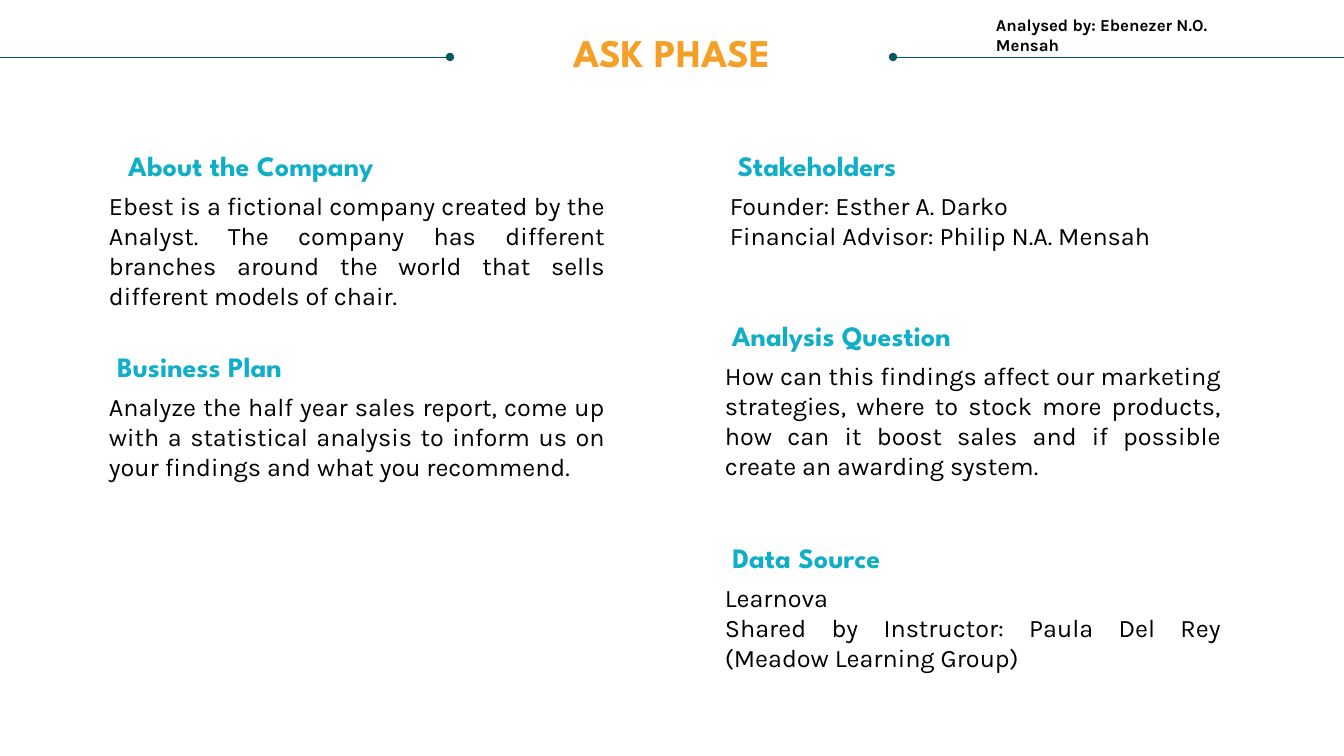
from pptx import Presentation
from pptx import util as u
from pptx.dml.color import RGBColor
from pptx.enum import shapes, text
from pptx.oxml.ns import qn
from lxml import etree

PX = 914400 / 100.8
WIDE, HIGH = 1344, 756
BODY_W = 496
INDENT = 18      # heading box starts this far left of its body
HEAD_H, DROP, LINE_H = 34, 42, 30

BLACK, TEAL, CYAN, GOLD = "000000", "085764", "11AEC7", "F59F26"
DISPLAY, PLAIN = "League Spartan", "Karla"
ALIGN = text.PP_ALIGN

# Body left, heading top, heading width, heading, body, body lines
SECTIONS = [
    (109, 148, 320, "About the Company",
     "Ebest is a fictional company created by the Analyst. The company has "
     "different branches around the world that sells different models of chair.", 4),
    (109, 349, 217, "Business Plan",
     "Analyze the half year sales report, come up with a statistical analysis "
     "to inform us on your findings and what you recommend.", 3),
    (730, 148, 210, "Stakeholders",
     "Founder: Esther A. Darko\nFinancial Advisor: Philip N.A. Mensah", 2),
    (725, 318, 269, "Analysis Question",
     "How can this findings affect our marketing strategies, where to stock "
     "more products, how can it boost sales and if possible create an "
     "awarding system.", 4),
    (725, 540, 199, "Data Source",
     "Learnova\nShared by Instructor: Paula Del Rey (Meadow Learning Group)", 3),
]


def px(*sizes):
    return [u.Emu(round(s * PX)) for s in sizes]


def color(code):
    return RGBColor.from_string(code)


def fill(shape, words, font, size, code, bold=False, align=ALIGN.LEFT, inset=(0, 0)):
    """Put styled text in a box; inset is side and top margin in px."""
    frame = shape.text_frame
    frame.word_wrap = True
    frame.auto_size = text.MSO_AUTO_SIZE.NONE
    frame.vertical_anchor = text.MSO_ANCHOR.TOP
    side, top = px(*inset)
    frame.margin_left = frame.margin_right = side
    frame.margin_top = frame.margin_bottom = top
    frame.text = words
    for para in frame.paragraphs:
        para.alignment = align
        for run in para.runs:
            run.font.name = font
            run.font.size = u.Pt(size)
            run.font.bold = bold
            run.font.color.rgb = color(code)


def box(slide, x, y, w, h, *args, **style):
    fill(slide.shapes.add_textbox(*px(x, y, w, h)), *args, **style)


def rule(slide, x, end, y):
    """Thin line from a dot at x to the slide edge."""
    line = slide.shapes.add_connector(
        shapes.MSO_CONNECTOR.STRAIGHT, *px(x, y, end, y))
    line.line.color.rgb = color(TEAL)
    line.line.width = u.Pt(0.5)
    dot = etree.SubElement(line.line._get_or_add_ln(), qn("a:headEnd"))
    dot.set("type", "oval")
    etree.SubElement(line._element.spPr, qn("a:effectLst"))


def header(slide, x, y, w, h):
    # Credit, rules and title
    box(slide, x + 986, y + 10, 277, 46, "Analysed by: Ebenezer N.O. Mensah",
        PLAIN, 12, BLACK, bold=True, inset=(10, 5))
    mid = y + h // 2
    rule(slide, x + 893, x + w, mid)
    rule(slide, x + 450, x, mid)
    title = slide.shapes.title
    title.left, title.top, title.width, title.height = px(x + 25, y + 34, w - 50, 42)
    fill(title, "ASK PHASE", DISPLAY, 28, GOLD, bold=True, align=ALIGN.CENTER)
    title.text_frame.paragraphs[0].line_spacing = 0.9


def section(slide, x, y, w, head, body, lines):
    box(slide, x - INDENT, y, w, HEAD_H, head, DISPLAY, 20, CYAN,
        bold=True, align=ALIGN.CENTER)
    box(slide, x, y + DROP, BODY_W, lines * LINE_H, body, PLAIN, 18, BLACK,
        align=ALIGN.JUSTIFY)


def main():
    deck = Presentation()
    deck.slide_width, deck.slide_height = px(WIDE, HIGH)
    slide = deck.slides.add_slide(deck.slide_layouts[5])
    slide.background.fill.solid()
    slide.background.fill.fore_color.rgb = color("FFFFFF")
    header(slide, 0, 0, WIDE, 115)
    for part in SECTIONS:
        section(slide, *part)
    deck.save("out.pptx")


if __name__ == "__main__":
    main()
